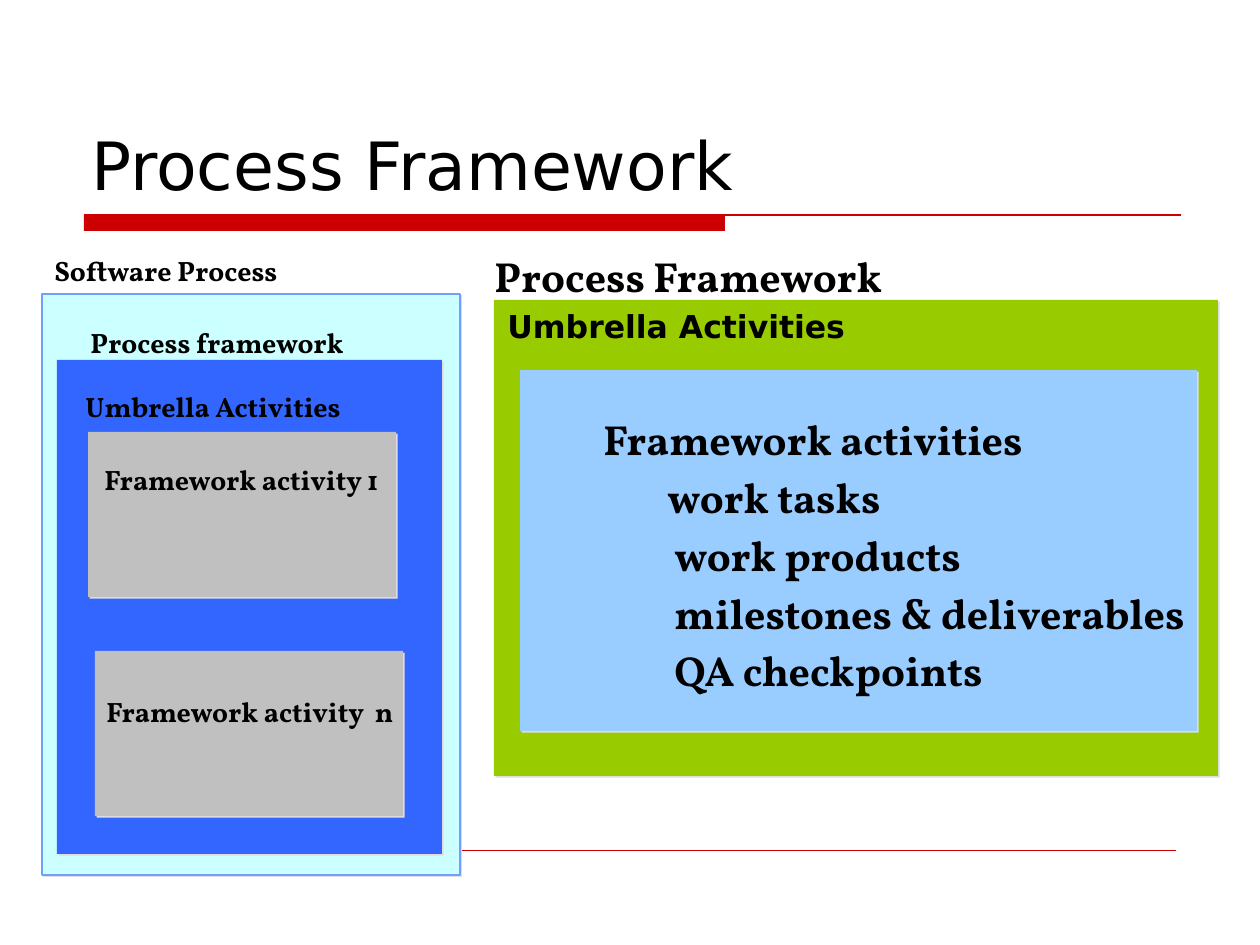
import lxml.etree
import pptx
import pptx.dml.color
import pptx.enum.shapes
import pptx.enum.text
import pptx.oxml.ns
import pptx.util

EMU_PER_PX = 914400 / 126
COLORS = {
    "text": "000000",
    "red": "CC0000",
    "cyan": "CCFFFF",
    "outline": "70A0FF",
    "blue": "3366FF",
    "gray": "C0C0C0",
    "green": "99CC00",
    "sky": "99CCFF",
    "shadow": "DDDDDD",
}
SANS = "DejaVu Sans"
SERIF = "Vollkorn"


def px(length):
    return pptx.util.Emu(round(length * EMU_PER_PX))


def color(name):
    return pptx.dml.color.RGBColor.from_string(COLORS[name])


def add_rectangle(slide, box, fill, outline=None, shadow=True):
    shape = slide.shapes.add_shape(
        pptx.enum.shapes.MSO_SHAPE.RECTANGLE, *map(px, box))
    shape.fill.solid()
    shape.fill.fore_color.rgb = color(fill)
    if outline:
        shape.line.color.rgb = color(outline)
        shape.line.width = pptx.util.Pt(1)
    else:
        shape.line.fill.background()
    shape.shadow.inherit = False
    if shadow:
        add_shadow(shape)
    return shape


def add_shadow(shape):
    """Give the shape a hard shadow, 1.4 pt to the lower right."""
    name = pptx.oxml.ns.qn
    effects = shape._element.spPr.find(name("a:effectLst"))
    outer = lxml.etree.SubElement(
        effects, name("a:outerShdw"), dist=str(pptx.util.Pt(1.4)),
        dir="2700000", algn="ctr", rotWithShape="0")
    lxml.etree.SubElement(outer, name("a:srgbClr"), val=COLORS["shadow"])


def add_rule(slide, left, right, y, width):
    rule = slide.shapes.add_connector(
        pptx.enum.shapes.MSO_CONNECTOR.STRAIGHT,
        px(left), px(y), px(right), px(y))
    rule.line.color.rgb = color("red")
    rule.line.width = pptx.util.Pt(width)
    lxml.etree.SubElement(
        rule._element.spPr, pptx.oxml.ns.qn("a:effectLst"))


def format_paragraph(paragraph, size, font=SERIF, bold=True, indent=0,
                     spacing=1.15):
    paragraph.alignment = pptx.enum.text.PP_ALIGN.LEFT
    paragraph.line_spacing = spacing
    if indent:
        paragraph._p.get_or_add_pPr().set("marL", str(px(indent)))
    for run in paragraph.runs:
        run.font.name = font
        run.font.size = pptx.util.Pt(size)
        run.font.bold = bold
        run.font.color.rgb = color("text")


def add_text(slide, box, text):
    text_box = slide.shapes.add_textbox(*map(px, box))
    text_box.text_frame.word_wrap = True
    text_box.text_frame.text = text
    return text_box.text_frame


def add_title(slide, left, top, width, height):
    frame = add_text(slide, (left, top, width, height), "Process Framework")
    frame.vertical_anchor = pptx.enum.text.MSO_ANCHOR.BOTTOM
    format_paragraph(frame.paragraphs[0], 38, SANS, bold=False, spacing=1)
    bar_left, bar_top = left + 5, top + height + 5
    add_rectangle(slide, (bar_left, bar_top, 641, 16), "red", shadow=False)
    add_rule(slide, bar_left, bar_left + 1097, bar_top, 0.75)


def add_software_process(slide, left, top, width, height):
    add_rectangle(slide, (left, top, width, height), "cyan", "outline")
    for box, fill in [
        ((15, 66, 385, 494), "blue"),
        ((46, 138, 308, 165), "gray"),
        ((53, 357, 308, 165), "gray"),
    ]:
        x, y, box_width, box_height = box
        add_rectangle(slide, (left + x, top + y, box_width, box_height), fill)
    for x, y, label in [
        (0, -52, "Software Process"),
        (36, 20, "Process framework"),
        (31, 84, "Umbrella Activities"),
        (50, 157, "Framework activity 1"),
        (52, 389, "Framework activity  n"),
    ]:
        frame = add_text(slide, (left + x, top + y, 334, 50), label)
        format_paragraph(frame.paragraphs[0], 16)


def add_framework(slide, left, top, width, height):
    add_rectangle(slide, (left, top, width, height), "green")
    panel = add_rectangle(
        slide, (left + 26, top + 70, width - 47, height - 115), "sky")
    frame = panel.text_frame
    frame.word_wrap = True
    frame.margin_right = 0
    frame.vertical_anchor = pptx.enum.text.MSO_ANCHOR.MIDDLE
    items = {
        "Framework activities": 71,
        "work tasks": 135,
        "work products": 142,
        "milestones & deliverables": 142,
        "QA checkpoints": 142,
    }
    frame.text = "\n".join(items)
    for paragraph, indent in zip(frame.paragraphs, items.values()):
        format_paragraph(paragraph, 24, indent=indent)

    heading = add_text(slide, (left - 22, top - 63, width + 22, 113),
                       "Process Framework\nUmbrella Activities")
    format_paragraph(heading.paragraphs[0], 24, indent=10)
    format_paragraph(heading.paragraphs[1], 18, SANS, indent=23)


def main():
    presentation = pptx.Presentation()
    presentation.slide_width = px(1260)
    presentation.slide_height = px(945)
    slide = presentation.slides.add_slide(presentation.slide_layouts[6])
    add_rule(slide, 84, 1176, 850, 0.25)
    add_title(slide, 79, 42, 1102, 168)
    add_software_process(slide, 42, 294, 418, 581)
    add_framework(slide, 494, 300, 724, 476)
    presentation.save("out.pptx")


if __name__ == "__main__":
    main()
